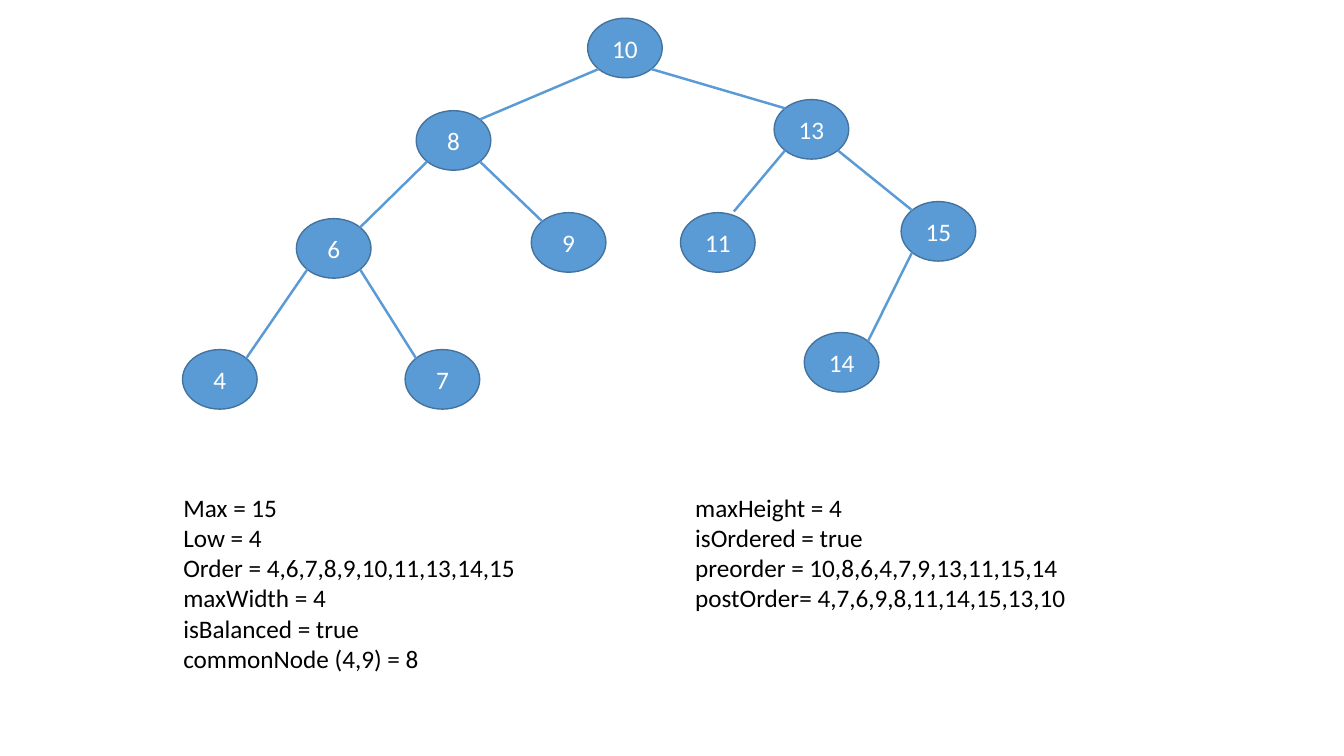
from math import sqrt

from lxml import etree
from pptx import Presentation
from pptx.dml.color import RGBColor
from pptx.enum.shapes import MSO_CONNECTOR, MSO_SHAPE
from pptx.enum.text import MSO_ANCHOR, MSO_AUTO_SIZE, PP_ALIGN
from pptx.oxml.ns import qn
from pptx.util import Cm, Pt

STRAIGHT = MSO_CONNECTOR.STRAIGHT
OVAL = MSO_SHAPE.OVAL
MIDDLE = MSO_ANCHOR.MIDDLE
CENTER = PP_ALIGN.CENTER
FIT_SHAPE = MSO_AUTO_SIZE.SHAPE_TO_FIT_TEXT

BLUE = "5B9BD5"
NODE_WIDTH, NODE_HEIGHT = 1.88, 1.5

# Left and top of each tree node, in centimetres
NODES = {
    10: (14.81, 0.46),
    8: (10.49, 2.79),
    13: (19.51, 2.51),
    6: (7.47, 5.51),
    9: (13.39, 5.36),
    7: (10.21, 8.81),
    11: (17.15, 5.36),
    15: (22.71, 5.08),
    14: (20.27, 8.38),
    4: (4.6, 8.81),
}
EDGES = [(10, 8), (10, 13), (8, 6), (8, 9), (6, 4), (6, 7),
         (13, 11), (13, 15), (15, 14)]
END_SHIFTS = {11: (-0.26, -0.25)}  # this edge stops short of its node

# Left, top, width, height and lines of each list of results
RESULTS = [
    (4.37, 12.27, 10.87, 4.88, [
        "Max = 15",
        "Low = 4",
        "Order = 4,6,7,8,9,10,11,13,14,15",
        "maxWidth = 4",
        "isBalanced = true",
        "commonNode (4,9) = 8",
    ]),
    (17.27, 12.27, 12.52, 3.33, [
        "maxHeight = 4",
        "isOrdered = true",
        "preorder = 10,8,6,4,7,9,13,11,15,14",
        "postOrder= 4,7,6,9,8,11,14,15,13,10",
    ]),
]


def rgb(color):
    return RGBColor.from_string(color)


def diagonal_point(node, side, level):
    """Point on the oval's diagonal; side and level are -1 (left, top) or 1."""
    left, top = NODES[node]
    return (left + NODE_WIDTH / 2 * (1 + side / sqrt(2)),
            top + NODE_HEIGHT / 2 * (1 + level / sqrt(2)))


deck = Presentation()
deck.slide_width, deck.slide_height = Cm(33.87), Cm(19.05)
page = deck.slides.add_slide(deck.slide_layouts[6])

for value, (left, top) in NODES.items():
    node = page.shapes.add_shape(OVAL, Cm(left), Cm(top),
                                 Cm(NODE_WIDTH), Cm(NODE_HEIGHT))
    node.shadow.inherit = False
    node.fill.solid()
    node.fill.fore_color.rgb = rgb(BLUE)
    node.line.color.rgb = rgb("43739E")
    node.line.width = Pt(1)
    node.text_frame.vertical_anchor = MIDDLE
    para = node.text_frame.paragraphs[0]
    para.text = str(value)
    para.alignment = CENTER
    para.font.name = "Calibri"
    para.font.size = Pt(18)
    para.font.color.rgb = rgb("FFFFFF")

for parent, child in EDGES:
    side = 1 if child > parent else -1
    start_x, start_y = diagonal_point(parent, side, 1)
    end_x, end_y = diagonal_point(child, -side, -1)
    shift_x, shift_y = END_SHIFTS.get(child, (0, 0))
    edge = page.shapes.add_connector(STRAIGHT, Cm(start_x), Cm(start_y),
                                     Cm(end_x + shift_x), Cm(end_y + shift_y))
    edge.line.color.rgb = rgb(BLUE)
    edge.line.width = Pt(1.75)
    etree.SubElement(edge._element.spPr, qn("a:effectLst"))

for left, top, width, height, lines in RESULTS:
    box = page.shapes.add_textbox(Cm(left), Cm(top), Cm(width), Cm(height))
    frame = box.text_frame
    frame.word_wrap = True
    frame.auto_size = FIT_SHAPE
    frame.text = "\n".join(lines)
    for para in frame.paragraphs:
        para.font.name = "Calibri"
        para.font.size = Pt(18)
        para.font.color.rgb = rgb("000000")

deck.save("out.pptx")
